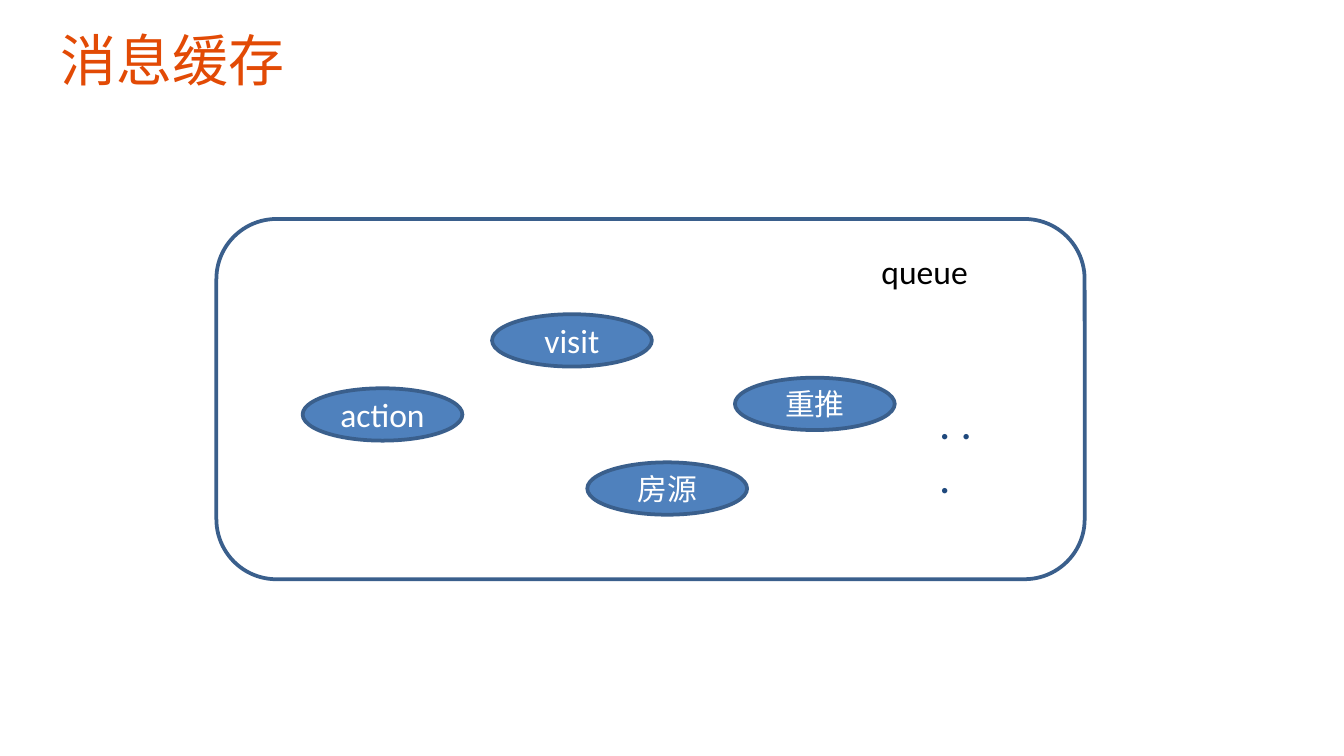
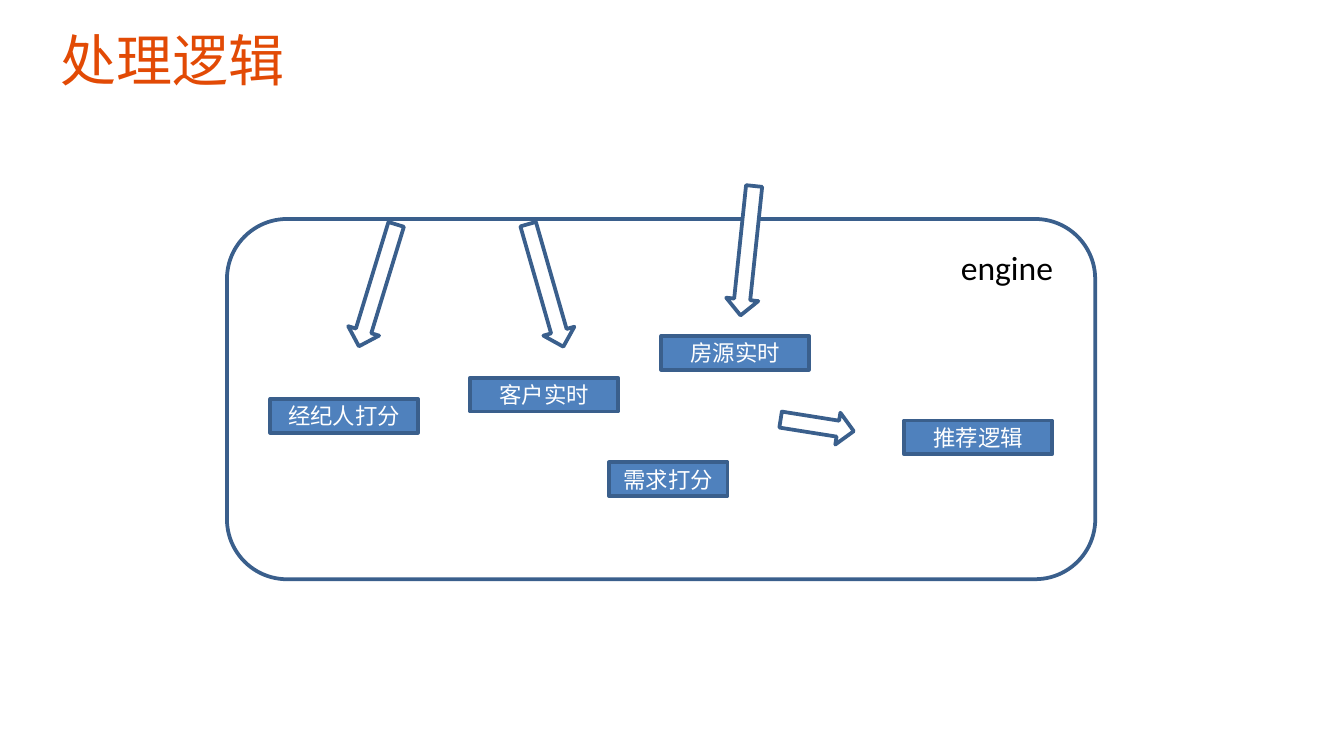
"""Build two slides on message caching and processing logic."""
from dataclasses import dataclass

import lxml.etree
import pptx
import pptx.dml.color
import pptx.enum.shapes
import pptx.enum.text
import pptx.oxml.ns
import pptx.util

Cm = pptx.util.Cm
SHAPES = pptx.enum.shapes.MSO_SHAPE
ALIGN = pptx.enum.text.PP_ALIGN
CJK_FONT = "Noto Sans CJK SC"
BODY_FONT = "Calibri"
COLORS = {
    "title": "E24A05",
    "outline": "3A5F8C",
    "node": "4F81BD",
    "white": "FFFFFF",
    "black": "000000",
    "dots": "1F497D",
}


@dataclass(frozen=True)
class Box:
    left: float
    top: float
    width: float
    height: float


@dataclass(frozen=True)
class Label:
    text: str
    box: Box
    size: int = 18
    color: str = "black"


@dataclass(frozen=True)
class Node:
    text: str
    left: float
    top: float
    size: int
    width: float
    height: float
    kind: SHAPES


@dataclass(frozen=True)
class Arrow:
    left: float
    top: float
    length: float
    rotation: int


@dataclass(frozen=True)
class Diagram:
    title: str
    frame_left: float
    labels: tuple[Label, ...]
    nodes: tuple[Node, ...]
    arrows: tuple[Arrow, ...] = ()


def topic(text: str, left: float, top: float, size: int) -> Node:
    return Node(text, left, top, size, 3.02, 0.99, SHAPES.OVAL)


def step(text: str, left: float, top: float, width: float = 2.79) -> Node:
    return Node(text, left, top, 12, width, 0.64, SHAPES.RECTANGLE)


DIAGRAMS = (
    Diagram(
        "消息缓存",
        4.09,
        (
            Label("queue", Box(16.41, 4.62, 2.9, 1.02)),
            Label(". . .", Box(17.5, 7.34, 1.4, 1.27), 24, "dots"),
        ),
        (
            topic("action", 5.72, 7.34, 18),
            topic("visit", 9.3, 5.94, 18),
            topic("重推", 13.89, 7.14, 16),
            topic("房源", 11.1, 8.74, 16),
        ),
    ),
    Diagram(
        "处理逻辑",
        4.29,
        (Label("engine", Box(17.91, 4.55, 2.9, 1.02)),),
        (
            step("需求打分", 11.51, 8.74, 2.24),
            step("经纪人打分", 5.11, 7.54),
            step("客户实时", 8.89, 7.14),
            step("房源实时", 12.5, 6.35),
            step("推荐逻辑", 17.09, 7.95),
        ),
        (
            Arrow(6.83, 4.19, 2.41, 17),
            Arrow(10.01, 4.19, 2.41, 344),
            Arrow(13.82, 3.51, 2.46, 6),
            Arrow(15.14, 7.34, 1.4, 279),
        ),
    ),
)


def rgb(name: str) -> pptx.dml.color.RGBColor:
    return pptx.dml.color.RGBColor.from_string(COLORS[name])


def place(box: Box) -> tuple[Cm, Cm, Cm, Cm]:
    return Cm(box.left), Cm(box.top), Cm(box.width), Cm(box.height)


def add_run(paragraph, text: str, size: int, color: str, font: str = BODY_FONT) -> None:
    run = paragraph.add_run()
    run.text = text
    run.font.size = pptx.util.Pt(size)
    run.font.name = font
    run.font.color.rgb = rgb(color)
    east_asian = lxml.etree.SubElement(
        run.font._element, pptx.oxml.ns.qn("a:ea")
    )
    east_asian.set("typeface", CJK_FONT)


def add_outlined(slide, kind: SHAPES, box: Box, fill: str = "white"):
    shape = slide.shapes.add_shape(kind, *place(box))
    shape.shadow.inherit = False
    shape.fill.solid()
    shape.fill.fore_color.rgb = rgb(fill)
    shape.line.color.rgb = rgb("outline")
    shape.line.width = pptx.util.Pt(2)
    return shape


def add_title(slide, text: str) -> None:
    shape = slide.shapes.add_textbox(*place(Box(0.89, 0.36, 21.59, 1.8)))
    shape.text_frame.word_wrap = True
    add_run(shape.text_frame.paragraphs[0], text, 30, "title", CJK_FONT)


def add_label(slide, label: Label) -> None:
    shape = slide.shapes.add_textbox(*place(label.box))
    shape.text_frame.word_wrap = True
    shape.text_frame.auto_size = pptx.enum.text.MSO_AUTO_SIZE.SHAPE_TO_FIT_TEXT
    add_run(shape.text_frame.paragraphs[0], label.text, label.size, label.color)


def add_node(slide, node: Node) -> None:
    box = Box(node.left, node.top, node.width, node.height)
    shape = add_outlined(slide, node.kind, box, "node")
    shape.text_frame.word_wrap = True
    shape.text_frame.vertical_anchor = pptx.enum.text.MSO_ANCHOR.MIDDLE
    paragraph = shape.text_frame.paragraphs[0]
    paragraph.alignment = ALIGN.CENTER
    add_run(paragraph, node.text, node.size, "white")


def add_arrow(slide, arrow: Arrow) -> None:
    box = Box(arrow.left, arrow.top, 0.61, arrow.length)
    shape = add_outlined(slide, SHAPES.DOWN_ARROW, box)
    shape.rotation = arrow.rotation


def add_diagram(presentation, diagram: Diagram) -> None:
    slide = presentation.slides.add_slide(presentation.slide_layouts[6])
    add_title(slide, diagram.title)
    frame = Box(diagram.frame_left, 4.14, 16.41, 6.81)
    add_outlined(slide, SHAPES.ROUNDED_RECTANGLE, frame)
    for label in diagram.labels:
        add_label(slide, label)
    for node in diagram.nodes:
        add_node(slide, node)
    for arrow in diagram.arrows:
        add_arrow(slide, arrow)


def main() -> None:
    presentation = pptx.Presentation()
    presentation.slide_width = Cm(25.4)
    presentation.slide_height = Cm(14.29)
    for diagram in DIAGRAMS:
        add_diagram(presentation, diagram)
    presentation.save("out.pptx")


if __name__ == "__main__":
    main()
